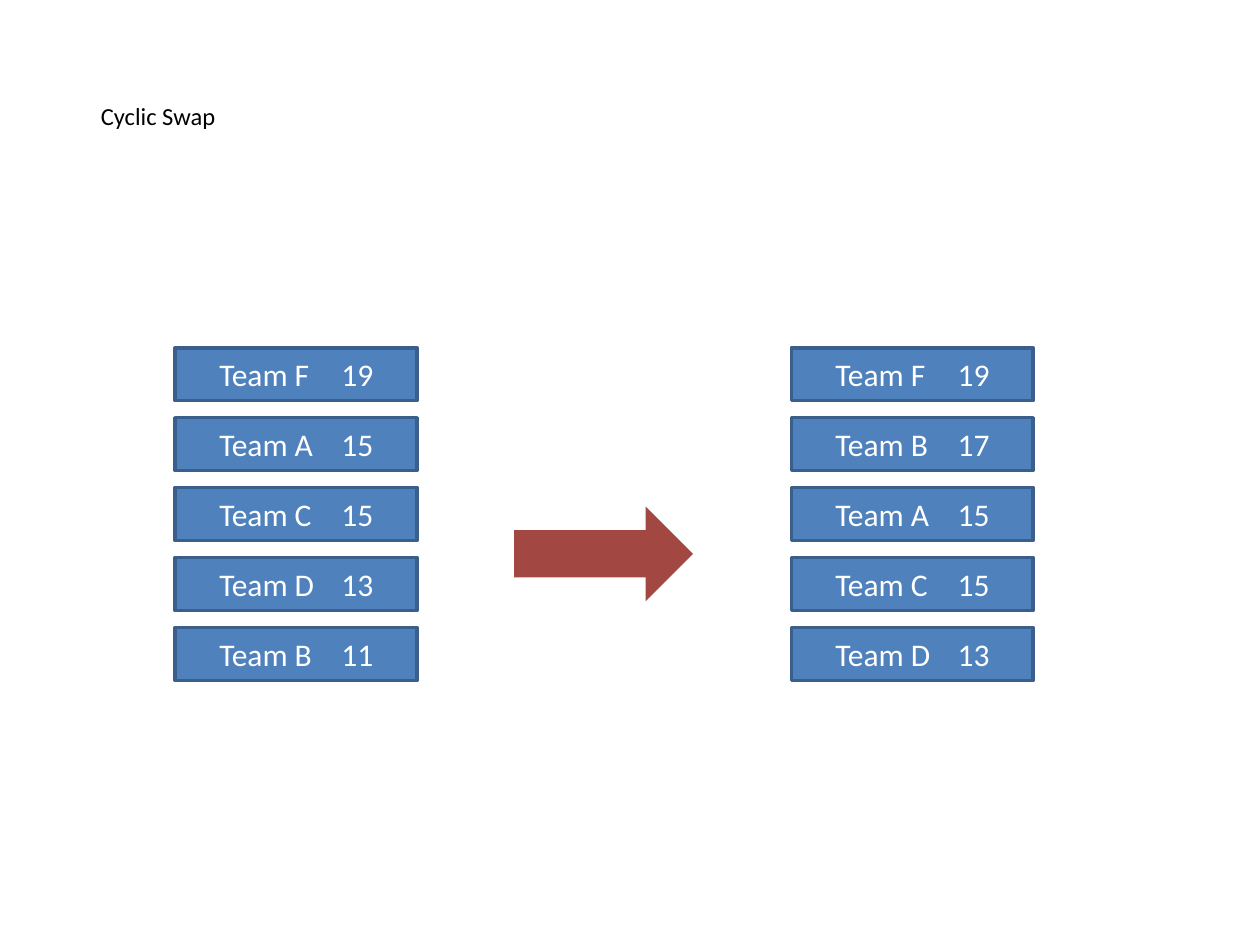
import dataclasses

import pptx
import pptx.dml.color
import pptx.enum.shapes
import pptx.enum.text
import pptx.oxml.ns
import pptx.util
from lxml import etree

Inches = pptx.util.Inches
Pt = pptx.util.Pt
Color = pptx.dml.color.RGBColor
Shape = pptx.enum.shapes.MSO_SHAPE
Anchor = pptx.enum.text.MSO_ANCHOR
Align = pptx.enum.text.PP_ALIGN

BLACK = Color(0x00, 0x00, 0x00)
WHITE = Color(0xFF, 0xFF, 0xFF)
BLUE = Color(0x4F, 0x81, 0xBD)
EDGE = Color(0x3A, 0x5F, 0x8C)
RED = Color(0xA3, 0x47, 0x42)

TOP, LAST = 2.76, 4.98
WIDTH, HEIGHT = 1.92, 0.42
INDENT, TAB = 0.35, 0.97


@dataclasses.dataclass
class Team:
    name: str
    score: int


@dataclasses.dataclass
class Ranking:
    left: float
    teams: list[Team]


BEFORE = Ranking(1.39, [Team("Team F", 19), Team("Team A", 15), Team("Team C", 15),
                        Team("Team D", 13), Team("Team B", 11)])
AFTER = Ranking(6.28, [Team("Team F", 19), Team("Team B", 17), Team("Team A", 15),
                       Team("Team C", 15), Team("Team D", 13)])


def write(shape, text: str, *, size: int, color: Color, anchor: Anchor,
          inset: float = 0.1, tab: float | None = None) -> None:
    """Put one left-aligned line in a shape, with an optional tab stop."""
    frame = shape.text_frame
    frame.word_wrap = True
    frame.auto_size = pptx.enum.text.MSO_AUTO_SIZE.NONE
    frame.vertical_anchor = anchor
    frame.margin_left = Inches(inset)
    frame.margin_right = Inches(0.1)
    frame.margin_top = frame.margin_bottom = Inches(0.05)
    line = frame.paragraphs[0]
    line.alignment = Align.LEFT
    if tab is not None:
        qn = pptx.oxml.ns.qn
        stops = etree.SubElement(line._p.get_or_add_pPr(), qn("a:tabLst"))
        etree.SubElement(stops, qn("a:tab"), pos=str(Inches(tab)), algn="l")
    run = line.add_run()
    run.text = text
    run.font.name = "Calibri"
    run.font.size = Pt(size)
    run.font.color.rgb = color


def draw_ranking(slide, ranking: Ranking) -> None:
    pitch = (LAST - TOP) / (len(ranking.teams) - 1)
    for row, team in enumerate(ranking.teams):
        box = slide.shapes.add_shape(
            Shape.RECTANGLE, Inches(ranking.left), Inches(TOP + row * pitch),
            Inches(WIDTH), Inches(HEIGHT))
        box.shadow.inherit = False
        box.fill.solid()
        box.fill.fore_color.rgb = BLUE
        box.line.color.rgb = EDGE
        box.line.width = Pt(2)
        write(box, f"{team.name}\t{team.score}", size=18, color=WHITE,
              anchor=Anchor.MIDDLE, inset=INDENT, tab=TAB)


def draw_arrow(slide) -> None:
    arrow = slide.shapes.add_shape(
        Shape.RIGHT_ARROW, Inches(4.08), Inches(4.02), Inches(1.42), Inches(0.75))
    arrow.shadow.inherit = False
    arrow.fill.solid()
    arrow.fill.fore_color.rgb = RED
    arrow.line.fill.background()


def main() -> None:
    deck = pptx.Presentation()
    deck.slide_width = Inches(10)
    deck.slide_height = Inches(7.5)
    slide = deck.slides.add_slide(deck.slide_layouts[5])
    title = slide.shapes.title
    title.left, title.top = Inches(0.7), Inches(0.75)
    title.width, title.height = Inches(5.96), Inches(0.34)
    write(title, "Cyclic Swap", size=14, color=BLACK, anchor=Anchor.TOP)
    draw_arrow(slide)
    for ranking in (BEFORE, AFTER):
        draw_ranking(slide, ranking)
    deck.save("out.pptx")


if __name__ == "__main__":
    main()
